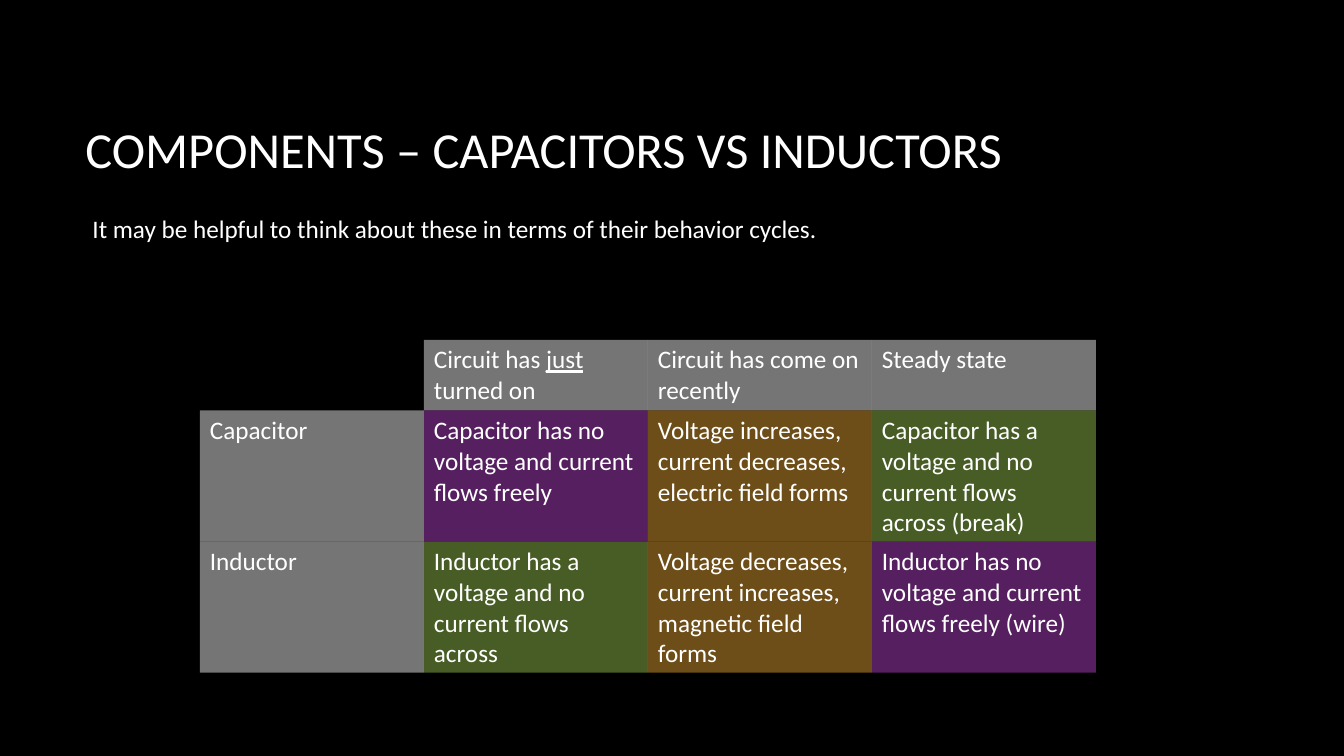
import pptx
import pptx.util
import pptx.dml.color
import pptx.enum.text
import pptx.oxml.ns
from lxml import etree

Pt = pptx.util.Pt
RGB = pptx.dml.color.RGBColor.from_string
ALIGN = pptx.enum.text.PP_ALIGN
ANCHOR = pptx.enum.text.MSO_ANCHOR

FONT = "Calibri"
NO_STYLE_NO_GRID = "{2D5ABB26-0587-4C30-8999-92F81FD0307C}"
COLORS = {
    "background": "000000",
    "text": "FFFFFF",
    "label": "EBEBEB",
    "free": "AC3EC1",
    "changing": "DD9D31",
    "blocked": "90BA4C",
}

# Each cell: fill name and text; underlined words are a separate run
CYCLES = [
    [(None, ""),
     ("label", ["Circuit has ", "just ", "turned on"]),
     ("label", "Circuit has come on recently"),
     ("label", "Steady state")],
    [("label", "Capacitor"),
     ("free", "Capacitor has no voltage and current flows freely"),
     ("changing", "Voltage increases, current decreases, electric field forms"),
     ("blocked", "Capacitor has a voltage and no current flows across (break)")],
    [("label", "Inductor"),
     ("blocked", "Inductor has a voltage and no current flows across"),
     ("changing", "Voltage decreases, current increases, magnetic field forms"),
     ("free", "Inductor has no voltage and current flows freely (wire)")],
]


def set_font(p, size):
    p.font.name = FONT
    p.font.size = Pt(size)
    p.font.color.rgb = RGB(COLORS["text"])


def add_text(s, box, text, size, align=ALIGN.LEFT, anchor=ANCHOR.TOP):
    tf = s.shapes.add_textbox(*map(Pt, box)).text_frame
    tf.word_wrap = True
    tf.vertical_anchor = anchor
    p = tf.paragraphs[0]
    p.text = text
    p.alignment = align
    set_font(p, size)


def fill_cell(cell, color):
    if color is None:
        cell.fill.background()
        return
    cell.fill.solid()
    cell.fill.fore_color.rgb = RGB(COLORS[color])
    # Half transparent
    qn = pptx.oxml.ns.qn
    clr = cell._tc.tcPr.find(".//" + qn("a:srgbClr"))
    etree.SubElement(clr, qn("a:alpha")).set("val", "50000")


def add_cycle_table(s, box, row_heights):
    cols = len(CYCLES[0])
    frame = s.shapes.add_table(len(CYCLES), cols, *map(Pt, box))
    table = frame.table
    table.first_row = table.horz_banding = False
    frame._element.xpath(".//a:tableStyleId")[0].text = NO_STYLE_NO_GRID
    for col in table.columns:
        col.width = Pt(box[2] / cols)
    for row, height, cells in zip(table.rows, row_heights, CYCLES):
        row.height = Pt(height)
        for cell, (color, text) in zip(row.cells, cells):
            fill_cell(cell, color)
            p = cell.text_frame.paragraphs[0]
            if isinstance(text, list):
                for i, part in enumerate(text):
                    r = p.add_run()
                    r.text = part
                    r.font.underline = i == 1
            else:
                p.text = text
            set_font(p, 18)


def build_slide(prs):
    s = prs.slides.add_slide(prs.slide_layouts[6])
    s.background.fill.solid()
    s.background.fill.fore_color.rgb = RGB(COLORS["background"])

    # Title and introduction
    add_text(s, (54, 48.5, 798, 114.5), "COMPONENTS – CAPACITORS VS INDUCTORS",
             36, anchor=ANCHOR.MIDDLE)
    add_text(s, (59, 149, 767.5, 29),
             "It may be helpful to think about these in terms of their behavior cycles.",
             18, align=ALIGN.JUSTIFY)

    # Behavior cycles
    add_cycle_table(s, (142.75, 242.75, 640, 237.6), (50.4, 93.6, 93.6))


def main():
    prs = pptx.Presentation()
    prs.slide_width, prs.slide_height = Pt(960), Pt(540)
    build_slide(prs)
    prs.save("out.pptx")


if __name__ == "__main__":
    main()
